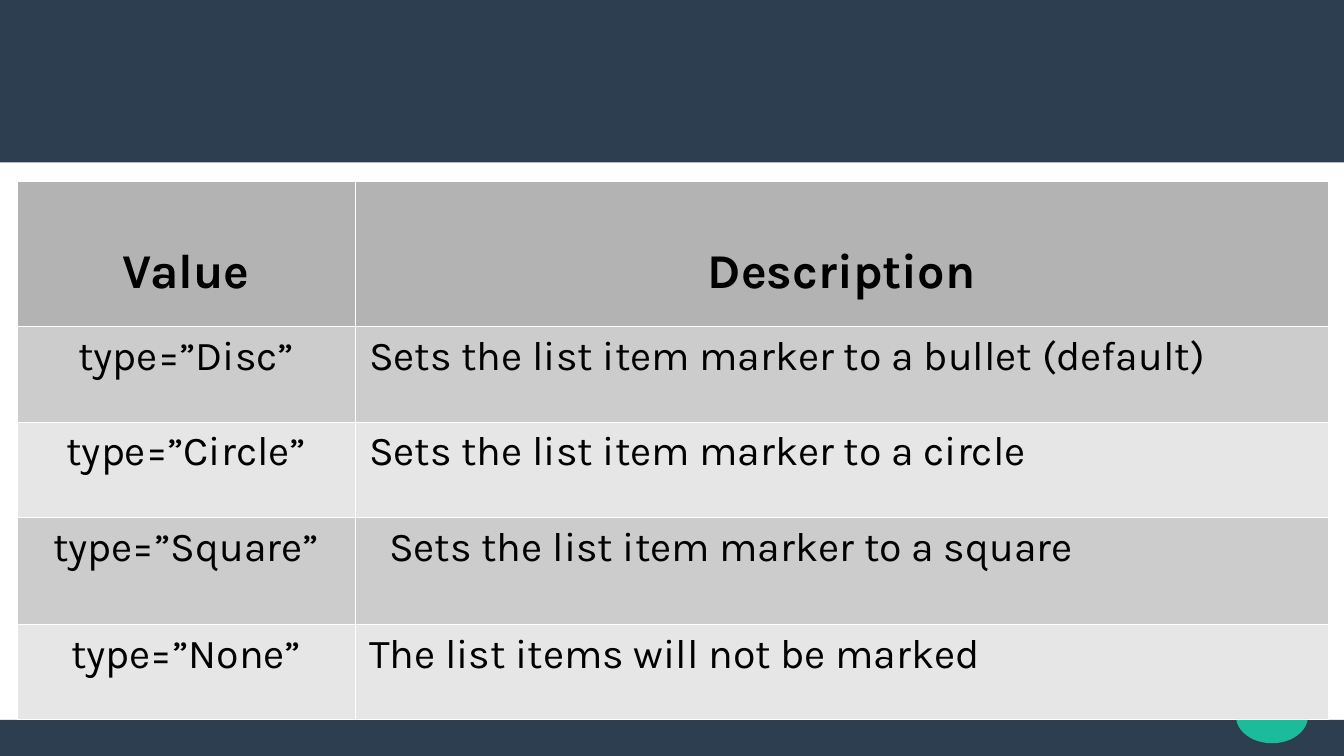
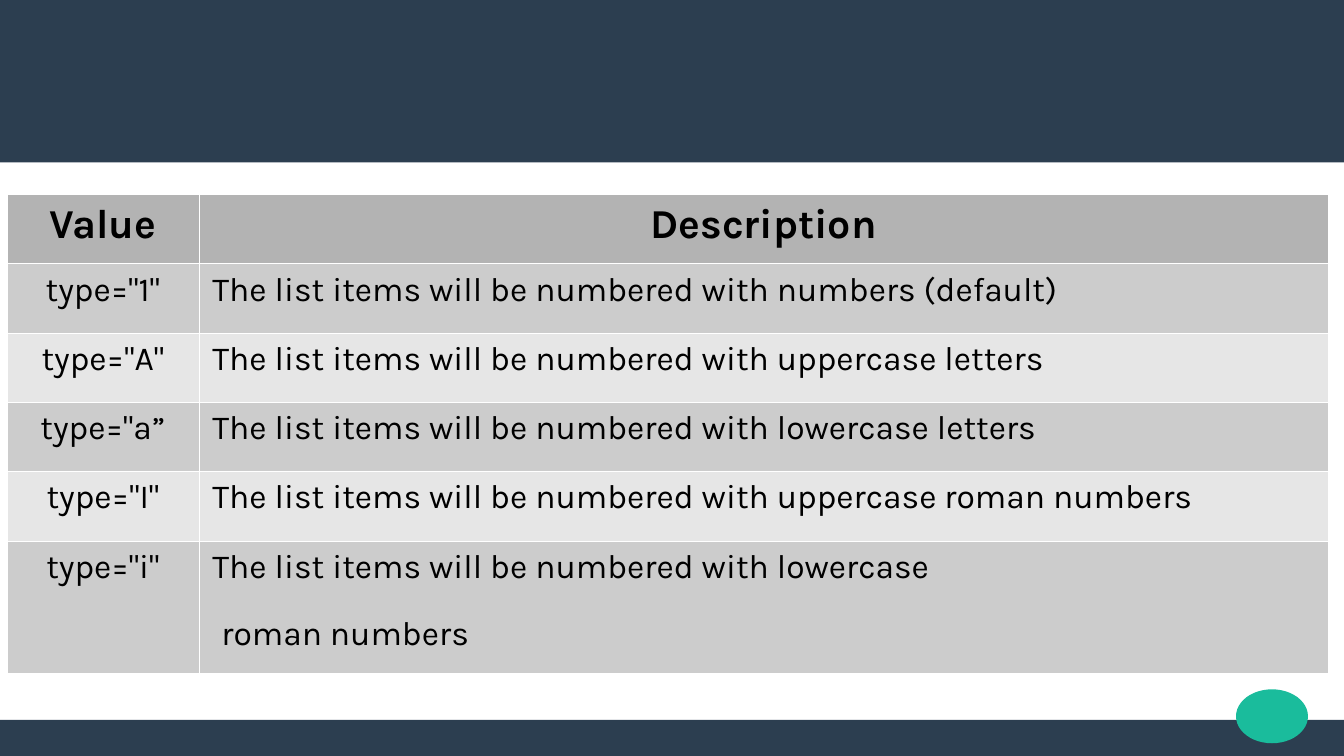
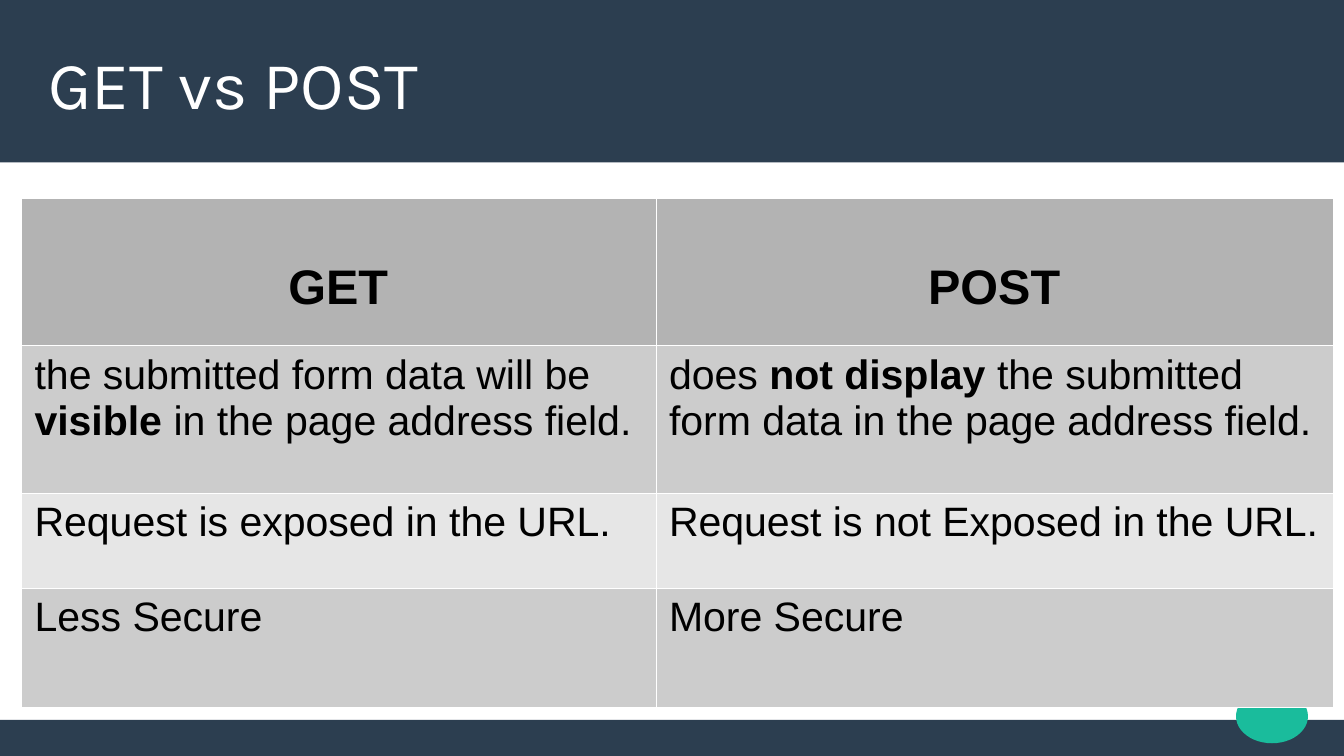
from dataclasses import dataclass

from lxml import etree
from pptx import Presentation
from pptx.dml.color import RGBColor
from pptx.enum import shapes, text
from pptx.oxml import ns
from pptx.util import Cm, Pt


@dataclass(frozen=True)
class Theme:
    navy: str = "2C3E50"
    green: str = "1ABC9C"
    white: str = "FFFFFF"
    black: str = "000000"
    header: str = "B3B3B3"
    stripes: tuple = ("CCCCCC", "E6E6E6")
    font: str = "Karla"
    plain_font: str = "Arial"
    title_size: int = 36
    large: int = 26
    medium: int = 22
    small: int = 18
    border: float = 0.06


THEME = Theme()
PAGE_WIDTH, PAGE_HEIGHT = 25.4, 14.29
TOP_BAND, BOTTOM_BAND = 3.07, 0.68
LOWERED = 1.19  # top margin that pushes a header down by one line
LEFT, CENTER = text.PP_ALIGN.LEFT, text.PP_ALIGN.CENTER


@dataclass
class Grid:
    """A table's place, measures (cm) and type; the first row is the header.

    A cell is a string or a list of paragraphs; *stars* enclose bold words.
    indents maps (row, column) to the left indent of the cell's last paragraph.
    """
    left: float
    top: float
    widths: list
    heights: list
    rows: list
    header_size: int
    body_size: int
    alignments: tuple
    font: str = THEME.font
    header_margin: float = 0.13
    space_before: int = 0
    indents: tuple = ()


LIST_MARKERS = Grid(
    0.32, 3.42, [6.4, 18.38], [2.75, 1.8, 1.8, 2.03, 1.8],
    [("Value", "Description"),
     ("type=”Disc”", "Sets the list item marker to a bullet (default)"),
     ("type=”Circle”", "Sets the list item marker to a circle"),
     ("type=”Square”", "Sets the list item marker to a square"),
     ("type=”None”", "The list items will not be marked")],
    THEME.large, THEME.medium, (CENTER, LEFT),
    header_margin=LOWERED, indents=((3, 1, 0.38),))

LIST_NUMBERS = Grid(
    0.13, 3.67, [3.63, 21.34], [1.31] * 5 + [2.51],
    [("Value", "Description"),
     ('type="1"', "The list items will be numbered with numbers (default)"),
     ('type="A"', "The list items will be numbered with uppercase letters"),
     ('type="a”', "The list items will be numbered with lowercase letters"),
     ('type="I"', "The list items will be numbered with uppercase roman numbers"),
     ('type="i"', ["The list items will be numbered with lowercase", "roman numbers"])],
    THEME.medium, THEME.small, (CENTER, LEFT),
    space_before=15, indents=((5, 1, 0.17),))

GET_VS_POST = Grid(
    0.4, 3.74, [11.99, 12.8], [2.79, 2.79, 1.79, 2.25],
    [("GET", "POST"),
     ("the submitted form data will be *visible* in the page address field.",
      "does *not display* the submitted form data in the page address field."),
     ("Request is exposed in the URL.", "Request is not Exposed in the URL."),
     ("Less Secure", "More Secure")],
    THEME.large, THEME.medium, (LEFT, LEFT),
    font=THEME.plain_font, header_margin=LOWERED)


def add_span(para, words, size, color, font, bold=False):
    span = para.add_run()
    span.text = words
    span.font.size = Pt(size)
    span.font.name = font
    span.font.bold = bold
    span.font.color.rgb = RGBColor.from_string(color)


def add_plain_shape(page, kind, color, left, top, width, height):
    shape = page.shapes.add_shape(kind, Cm(left), Cm(top), Cm(width), Cm(height))
    shape.fill.solid()
    shape.fill.fore_color.rgb = RGBColor.from_string(color)
    shape.line.fill.background()
    shape.shadow.inherit = False


def add_page(deck):
    """Add a blank page with the two bands and the page-number disc."""
    page = deck.slides.add_slide(deck.slide_layouts[6])
    kinds = shapes.MSO_SHAPE
    add_plain_shape(page, kinds.RECTANGLE, THEME.navy,
                    0, PAGE_HEIGHT - BOTTOM_BAND, PAGE_WIDTH, BOTTOM_BAND)
    add_plain_shape(page, kinds.RECTANGLE, THEME.navy, 0, 0, PAGE_WIDTH, TOP_BAND)
    add_plain_shape(page, kinds.OVAL, THEME.green, 23.36, 13.03, 1.36, 1.02)
    return page


def add_title(page, words):
    box = page.shapes.add_textbox(Cm(0.91), Cm(0.66), Cm(23.6), Cm(1.8))
    frame = box.text_frame
    frame.word_wrap = True
    frame.vertical_anchor = text.MSO_ANCHOR.MIDDLE
    frame.margin_left = frame.margin_right = frame.margin_top = frame.margin_bottom = 0
    add_span(frame.paragraphs[0], words, THEME.title_size, THEME.white, THEME.font)


def set_borders(cell):
    properties = cell._tc.get_or_add_tcPr()
    for index, side in enumerate(("lnL", "lnR", "lnT", "lnB")):
        line = etree.Element(ns.qn(f"a:{side}"), w=str(Pt(THEME.border)))
        fill = etree.SubElement(line, ns.qn("a:solidFill"))
        etree.SubElement(fill, ns.qn("a:srgbClr"), val=THEME.white)
        properties.insert(index, line)


def fill_cell(cell, content, grid, is_header, alignment):
    paragraphs = [content] if isinstance(content, str) else content
    frame = cell.text_frame
    size = grid.header_size if is_header else grid.body_size
    for number, words in enumerate(paragraphs):
        para = frame.add_paragraph() if number else frame.paragraphs[0]
        para.alignment = alignment
        if grid.space_before and not is_header:
            para.space_before = Pt(grid.space_before)
        for part, piece in enumerate(words.split("*")):
            add_span(para, piece, size, THEME.black, grid.font,
                     bold=is_header or part % 2 == 1)


def add_grid(page, grid):
    frame = page.shapes.add_table(
        len(grid.rows), len(grid.widths), Cm(grid.left), Cm(grid.top),
        Cm(sum(grid.widths)), Cm(sum(grid.heights)))
    table = frame.table
    table.first_row = table.horz_banding = False
    for column, width in zip(table.columns, grid.widths):
        column.width = Cm(width)
    for row, height in zip(table.rows, grid.heights):
        row.height = Cm(height)
    for r, contents in enumerate(grid.rows):
        is_header = r == 0
        color = THEME.header if is_header else THEME.stripes[(r - 1) % 2]
        for c, content in enumerate(contents):
            cell = table.cell(r, c)
            cell.fill.solid()
            cell.fill.fore_color.rgb = RGBColor.from_string(color)
            if is_header:
                cell.margin_top = Cm(grid.header_margin)
            set_borders(cell)
            fill_cell(cell, content, grid, is_header,
                      CENTER if is_header else grid.alignments[c])
    for r, c, indent in grid.indents:
        para = table.cell(r, c).text_frame.paragraphs[-1]
        para._p.get_or_add_pPr().set("marL", str(Cm(indent)))


def main():
    deck = Presentation()
    deck.slide_width, deck.slide_height = Cm(PAGE_WIDTH), Cm(PAGE_HEIGHT)
    for title, grid in ((None, LIST_MARKERS), (None, LIST_NUMBERS),
                        ("GET vs POST", GET_VS_POST)):
        page = add_page(deck)
        if title:
            add_title(page, title)
        add_grid(page, grid)
    deck.save("out.pptx")


if __name__ == "__main__":
    main()
